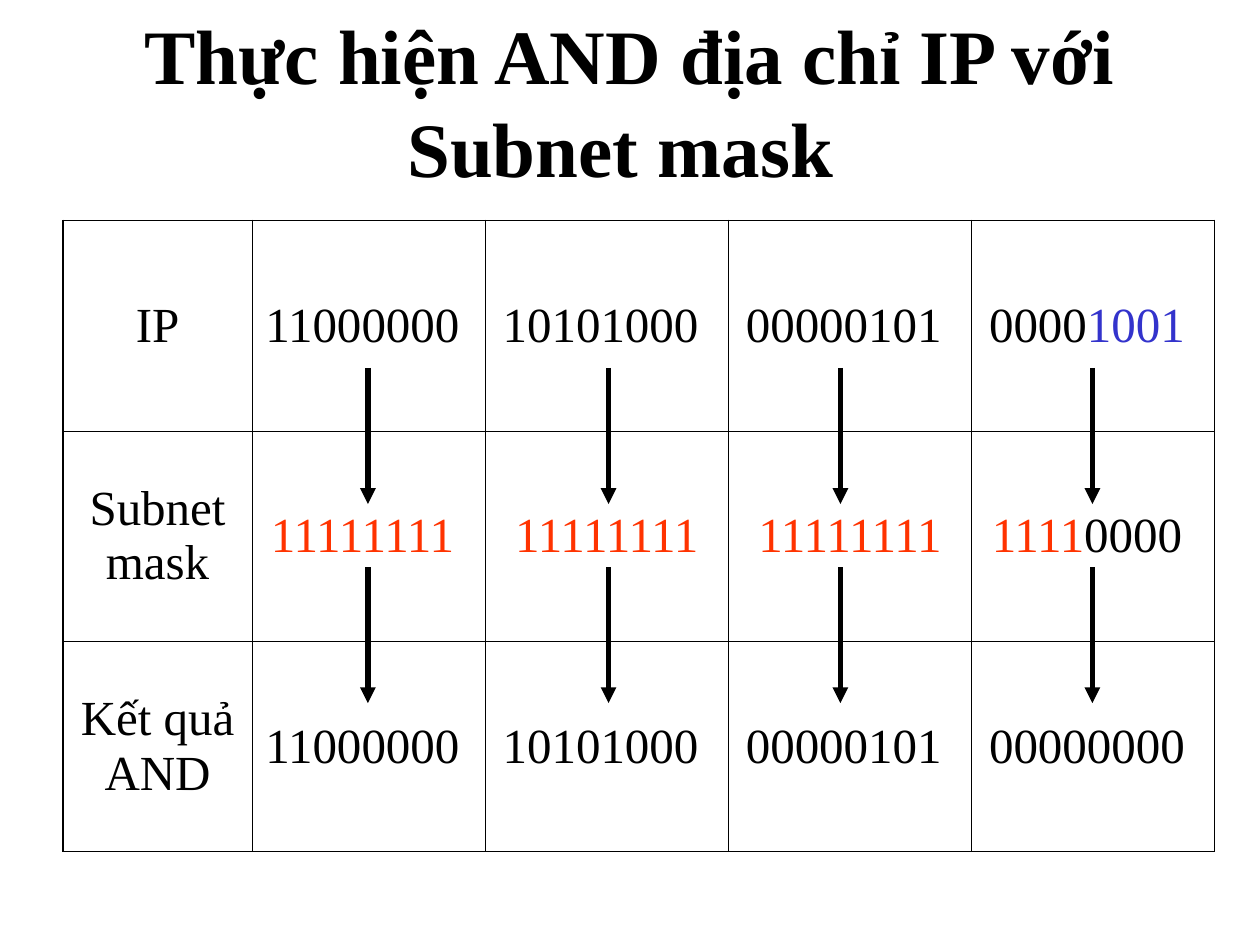
import dataclasses

import lxml.etree
import pptx
import pptx.dml.color
import pptx.enum.shapes
import pptx.enum.text
import pptx.oxml.ns
import pptx.slide
import pptx.table
import pptx.text.text
import pptx.util

Inches = pptx.util.Inches
Pt = pptx.util.Pt
qn = pptx.oxml.ns.qn

COLORS = {"black": "000000", "host": "3333CC", "mask": "FF3300"}
FONT = "Times New Roman"
OUTER_BORDER = Pt(1.08)
INNER_BORDER = Pt(0.45)
COLUMN_WIDTHS = [1.5, 1.85, 1.93, 1.93, 1.93]
ROW_HEIGHT = 1.67
ARROW_COLUMNS = [2.92, 4.83, 6.67, 8.67]
ARROW_STARTS = [2.92, 4.5]
ARROW_LENGTH = 1.08


@dataclasses.dataclass(frozen=True)
class Part:
    text: str
    color: str = "black"


ROWS = [
    [
        [Part("IP")],
        [Part("11000000 ")],
        [Part("10101000 ")],
        [Part("00000101 ")],
        [Part("0000"), Part("1001 ", "host")],
    ],
    [
        [Part("Subnet mask")],
        [Part("11111111 ", "mask")],
        [Part("11111111", "mask")],
        [Part("11111111", "mask")],
        [Part("1111", "mask"), Part("0000 ")],
    ],
    [
        [Part("Kết quả AND")],
        [Part("11000000 ")],
        [Part("10101000 ")],
        [Part("00000101 ")],
        [Part("00000000 ")],
    ],
]


def color_of(name: str) -> pptx.dml.color.RGBColor:
    return pptx.dml.color.RGBColor.from_string(COLORS[name])


def format_run(run: pptx.text.text._Run, size: float, color: str, bold: bool) -> None:
    run.font.name = FONT
    run.font.size = Pt(size)
    run.font.bold = bold
    run.font.color.rgb = color_of(color)


def add_border(cell: pptx.table._Cell, side: str, width: int) -> None:
    properties = cell._tc.get_or_add_tcPr()
    line = lxml.etree.SubElement(properties, qn(f"a:ln{side}"), w=str(width))
    fill = lxml.etree.SubElement(line, qn("a:solidFill"))
    lxml.etree.SubElement(fill, qn("a:srgbClr"), val=COLORS["black"])


def fill_cell(cell: pptx.table._Cell, parts: list[Part]) -> None:
    cell.vertical_anchor = pptx.enum.text.MSO_ANCHOR.MIDDLE
    paragraph = cell.text_frame.paragraphs[0]
    paragraph.alignment = pptx.enum.text.PP_ALIGN.CENTER
    for part in parts:
        run = paragraph.add_run()
        run.text = part.text
        format_run(run, 28, part.color, False)


def add_title(slide: pptx.slide.Slide, text: str) -> None:
    title = slide.shapes.title
    title.left, title.top = Inches(0.75), Inches(0.17)
    title.width, title.height = Inches(8.5), Inches(1.25)
    title.text_frame.text = text
    title.text_frame.word_wrap = True
    title.text_frame.auto_size = pptx.enum.text.MSO_AUTO_SIZE.NONE
    title.text_frame.vertical_anchor = pptx.enum.text.MSO_ANCHOR.MIDDLE
    paragraph = title.text_frame.paragraphs[0]
    paragraph.alignment = pptx.enum.text.PP_ALIGN.CENTER
    format_run(paragraph.runs[0], 44, "black", True)


def add_address_table(slide: pptx.slide.Slide) -> None:
    last_row, last_column = len(ROWS) - 1, len(COLUMN_WIDTHS) - 1
    table = slide.shapes.add_table(
        len(ROWS), len(COLUMN_WIDTHS), Inches(0.5), Inches(1.75),
        Inches(sum(COLUMN_WIDTHS)), Inches(ROW_HEIGHT * len(ROWS)),
    ).table
    table.first_row = False
    table.horz_banding = False
    for column, width in zip(table.columns, COLUMN_WIDTHS):
        column.width = Inches(width)
    for row_index, row in enumerate(ROWS):
        table.rows[row_index].height = Inches(ROW_HEIGHT)
        for column_index, parts in enumerate(row):
            cell = table.cell(row_index, column_index)
            outer_sides = {
                "L": column_index == 0,
                "R": column_index == last_column,
                "T": row_index == 0,
                "B": row_index == last_row,
            }
            for side, is_outer in outer_sides.items():
                add_border(cell, side, OUTER_BORDER if is_outer else INNER_BORDER)
            cell.fill.background()
            fill_cell(cell, parts)


def add_down_arrow(slide: pptx.slide.Slide, left: float, top: float) -> None:
    arrow = slide.shapes.add_connector(
        pptx.enum.shapes.MSO_CONNECTOR.STRAIGHT,
        Inches(left), Inches(top), Inches(left), Inches(top + ARROW_LENGTH),
    )
    arrow.line.color.rgb = color_of("black")
    arrow.line.width = Pt(3)
    line = arrow.line._get_or_add_ln()
    lxml.etree.SubElement(line, qn("a:tailEnd"), type="triangle")
    lxml.etree.SubElement(arrow._element.spPr, qn("a:effectLst"))


def main() -> None:
    presentation = pptx.Presentation()
    presentation.slide_width = Inches(10)
    presentation.slide_height = Inches(7.5)
    slide = presentation.slides.add_slide(presentation.slide_layouts[5])
    add_title(slide, "Thực hiện AND địa chỉ IP với Subnet mask ")
    add_address_table(slide)
    for left in ARROW_COLUMNS:
        for top in ARROW_STARTS:
            add_down_arrow(slide, left, top)
    presentation.save("out.pptx")


if __name__ == "__main__":
    main()
